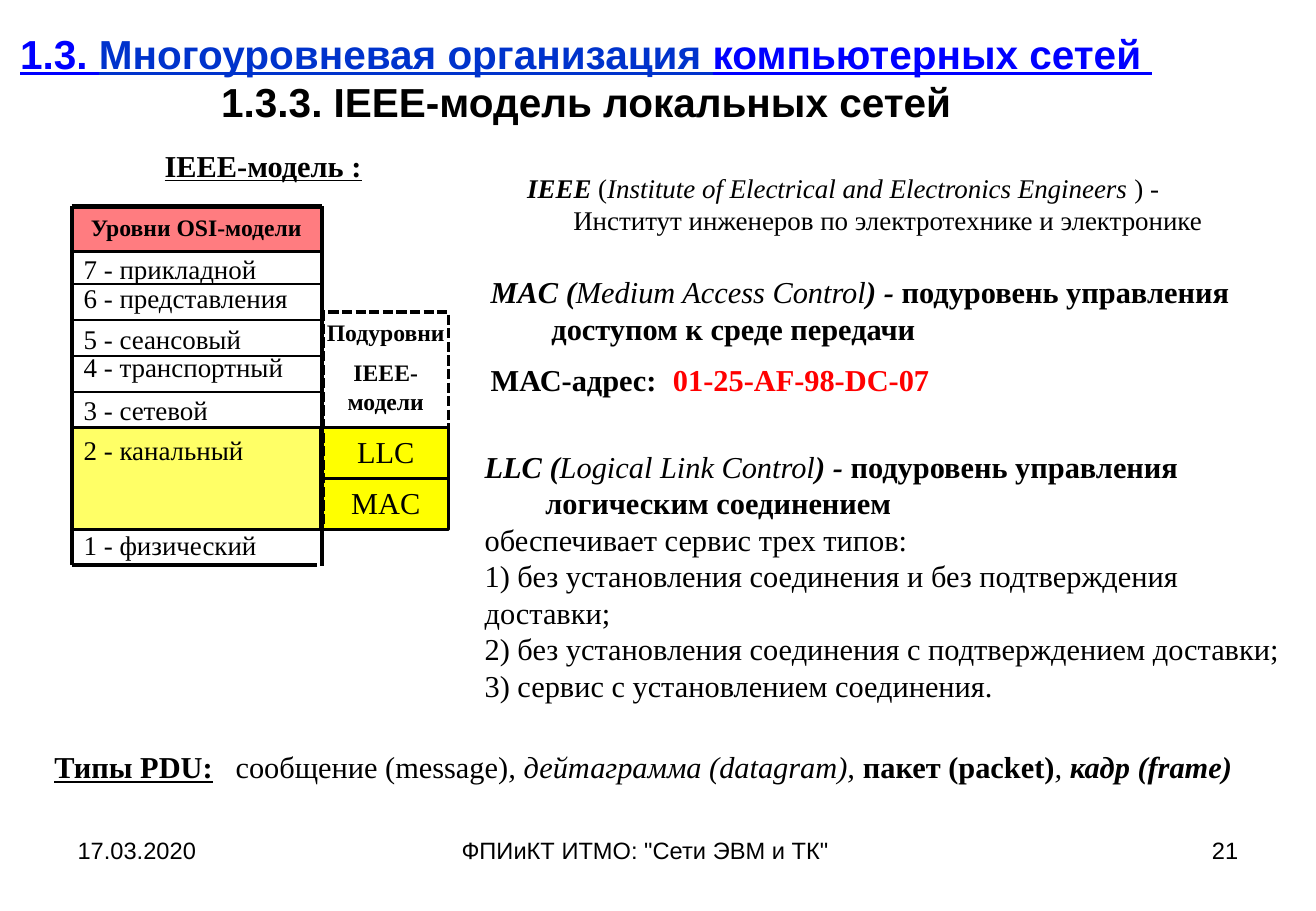
from lxml.etree import SubElement
from pptx import Presentation
from pptx.dml.color import RGBColor
from pptx.enum.dml import MSO_LINE
from pptx.enum.shapes import MSO_CONNECTOR, MSO_SHAPE
from pptx.enum.text import MSO_ANCHOR, MSO_AUTO_SIZE, PP_ALIGN
from pptx.oxml.ns import qn
from pptx.util import Inches, Pt

SERIF, SANS = "Times New Roman", "Arial"
CENTER, RIGHT = PP_ALIGN.CENTER, PP_ALIGN.RIGHT
TOP, MIDDLE, BOTTOM = MSO_ANCHOR.TOP, MSO_ANCHOR.MIDDLE, MSO_ANCHOR.BOTTOM


def rgb(color):
    """Turn a hex string into a colour."""
    return RGBColor.from_string(color)


def write(frame, paragraphs, size=18, font=SERIF, color="000000", style="", align=None,
          anchor=TOP, inset=(0.1, 0.05), before=0, hanging=0, tab=None):
    """Fill a frame with paragraphs of plain text or (text, style, colour) runs; style letters are b, i, u."""
    frame.word_wrap, frame.auto_size = True, MSO_AUTO_SIZE.NONE
    frame.vertical_anchor = anchor
    frame.margin_left = frame.margin_right = Inches(inset[0])
    frame.margin_top = frame.margin_bottom = Inches(inset[1])
    for index, content in enumerate(paragraphs):
        paragraph = frame.add_paragraph() if index else frame.paragraphs[0]
        paragraph.alignment = align
        paragraph.space_before = Pt(before if index else 0)
        properties = paragraph._p.get_or_add_pPr()
        if hanging:
            properties.set("marL", str(Inches(hanging)))
            properties.set("indent", str(-Inches(hanging)))
        if tab:
            stops = SubElement(properties, qn("a:tabLst"))
            SubElement(stops, qn("a:tab"), pos=str(Inches(tab)), algn="l")
        for text, letters, *tint in [(content, style)] if isinstance(content, str) else content:
            for number, line in enumerate(text.split("\n")):
                if number:
                    paragraph.add_line_break()
                run = paragraph.add_run()
                run.text = line
                run.font.name, run.font.size = font, Pt(size)
                run.font.bold, run.font.italic = "b" in letters, "i" in letters
                run.font.underline = "u" in letters
                run.font.color.rgb = rgb(tint[0] if tint else color)


def add_text(slide, box, paragraphs, **style):
    """Add a text box."""
    write(slide.shapes.add_textbox(*map(Inches, box)).text_frame, paragraphs, **style)


def add_block(slide, box, paragraphs, fill=None, line=None, dash=None, **style):
    """Add a rectangle with text."""
    block = slide.shapes.add_shape(MSO_SHAPE.RECTANGLE, *map(Inches, box))
    block.shadow.inherit = False
    if fill:
        block.fill.solid()
        block.fill.fore_color.rgb = rgb(fill)
    else:
        block.fill.background()
    if line:
        block.line.color.rgb, block.line.width = rgb("000000"), Pt(line)
        block.line.dash_style = dash
    else:
        block.line.fill.background()
    write(block.text_frame, paragraphs, **style)


def add_line(slide, x1, y1, x2, y2, width):
    """Add a straight black line."""
    rule = slide.shapes.add_connector(MSO_CONNECTOR.STRAIGHT, *map(Inches, (x1, y1, x2, y2)))
    rule.line.color.rgb, rule.line.width = rgb("000000"), Pt(width)
    SubElement(rule._element.spPr, qn("a:effectLst"))


def add_title(slide, box):
    """Place and fill the title placeholder."""
    title = slide.shapes.title
    title.left, title.top, title.width, title.height = map(Inches, box)
    write(title.text_frame, [
        [("1.3. ", "bu", "0000FF"), ("Многоуровневая организация ", "bu", "0033CC"),
         ("компьютерных сетей ", "bu", "0000FF")],
        [("1.3.3. IEEE-модель локальных сетей", "b")],
    ], size=24, font=SANS, align=CENTER, anchor=MIDDLE)


def add_osi_levels(slide, left, top, width, height):
    """Draw the column of OSI levels."""
    right, header, link, physical = left + width, 0.37, 1.82, 2.66
    pitch = 0.295
    text_width = width - 0.01
    add_text(slide, (left, top + 2.6, text_width, 0.37), ["1 - физический"], size=16)
    add_block(slide, (left, top + link, text_width, physical - link), ["2 - канальный"],
              fill="FFFF66", line=2, size=16)
    for level, offset, row_height, anchor in [
            ("3 - сетевой", 1.57, 0.25, BOTTOM), ("4 - транспортный", 1.18, 0.3, TOP),
            ("5 - сеансовый", 0.98, 0.25, BOTTOM), ("6 - представления", 0.64, 0.25, BOTTOM),
            ("7 - прикладной", 0.37, 0.22, TOP)]:
        add_text(slide, (left, top + offset, text_width, row_height), [level],
                 size=16, anchor=anchor, inset=(0.1, 0.01))
    add_block(slide, (left, top, text_width, header), ["Уровни OSI-модели"],
              fill="FF7C80", size=14, style="b", align=CENTER)
    add_line(slide, left, top, right, top, 2.5)
    add_line(slide, left, top + height, right - 0.04, top + height, 2.5)
    add_line(slide, left, top, left, top + height, 2.5)
    add_line(slide, left, top + header, right, top + header, 2)
    add_line(slide, right, top, right, top + height + 0.01, 2.5)
    for offset in [link - pitch * step for step in range(4, -1, -1)] + [physical]:
        add_line(slide, left, top + offset, right, top + offset, 1)


def add_ieee_sublevels(slide, left, top, width, height):
    """Draw the IEEE sublevels beside the link level."""
    cell = 0.42
    for index, sublevel in enumerate(["LLC", "MAC"]):
        add_block(slide, (left, top + height - cell * (2 - index), width, cell), [sublevel],
                  fill="FFFF00", line=1.5, align=CENTER)
    add_block(slide, (left, top, width, height), ["Подуровни", "IEEE- модели"], line=2,
              dash=MSO_LINE.SQUARE_DOT, size=14, style="b", align=CENTER,
              inset=(0, 0.05), before=7)


def add_definitions(slide, left, top):
    """Write the explanations of IEEE, MAC and LLC."""
    add_text(slide, (left + 0.35, top, 6.2, 0.69), [[
        ("IEEE", "bi"), (" (", ""), ("Institute of Electrical and Electronics Engineers", "i"),
        (" ) ", ""), ("- ", "i"), ("Институт инженеров по электротехнике и электронике", "")]],
        size=16, hanging=0.38)
    add_text(slide, (left + 0.05, top + 0.84, 6.64, 1.15), [
        [("MAC (", "bi"), ("Medium Access Control", "i"), (") - ", "bi"),
         ("подуровень управления\n\tдоступом к среде передачи", "b")],
        [("МАС-адрес:\t", "b"), ("01-25-AF-98-DC-07", "b", "FF0000")]], before=9)
    add_text(slide, (left, top + 2.28, 6.76, 2.22), [
        [("LLC (", "bi"), ("Logical Link Control", "i"), (") - ", "bi"),
         ("подуровень управления\n\tлогическим соединением", "b")],
        "обеспечивает сервис трех типов:",
        "1) без установления соединения и без подтверждения доставки;",
        "2) без установления соединения с подтверждением доставки;",
        "3) сервис с установлением соединения."])


def add_pdu_types(slide, box):
    """Write the line of PDU types."""
    add_text(slide, box, [[
        ("Типы PDU:", "bu"), ("\tсообщение (message)", ""), (", дейтаграмма (datagram), ", "i"),
        ("пакет (packet)", "b"), (", ", "i"), ("кадр (frame)", "bi")]], tab=1.49)


def add_footer(slide, top, height):
    """Write the date, the course and the slide number."""
    for text, left, width, align in [("17.03.2020", 0.54, 2.53, None),
                                     ('ФПИиКТ ИТМО: "Сети ЭВМ и ТК"', 3.7, 3.43, None),
                                     ("21", 7.76, 2.53, RIGHT)]:
        add_text(slide, (left, top, width, height), [text], size=14, font=SANS, align=align)


def main():
    """Build the slide and save it."""
    deck = Presentation()
    deck.slide_width, deck.slide_height = Inches(10.83), Inches(7.5)
    slide = deck.slides.add_slide(deck.slide_layouts[5])
    add_title(slide, (0, 0.01, 9.65, 1.25))
    add_footer(slide, 6.83, 0.52)
    add_osi_levels(slide, 0.59, 1.7, 2.06, 2.95)
    add_text(slide, (0.59, 1.16, 3.15, 0.4), ["IEEE-модель :"], style="bu", align=CENTER)
    add_ieee_sublevels(slide, 2.66, 2.57, 1.03, 1.79)
    add_definitions(slide, 3.89, 1.36)
    add_pdu_types(slide, (0.35, 6.11, 10.19, 0.4))
    deck.save("out.pptx")


if __name__ == "__main__":
    main()
